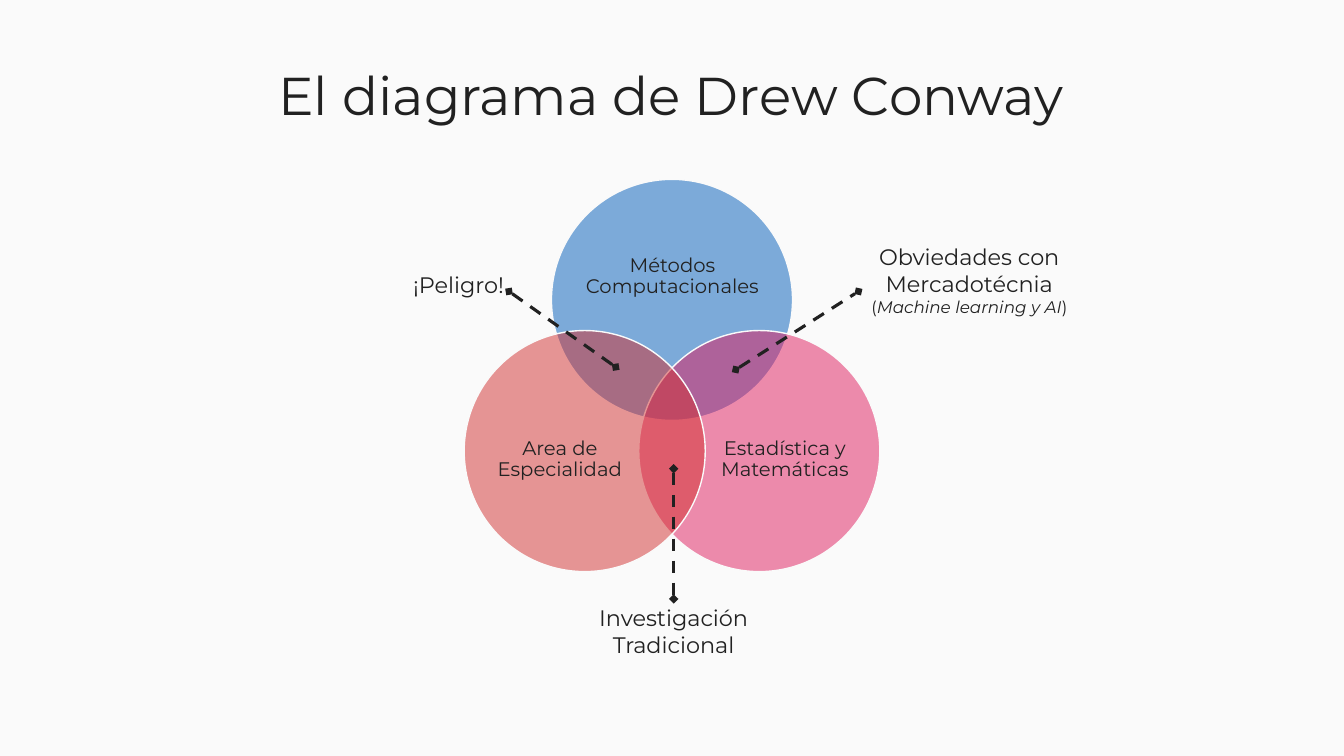
from math import cos, radians, sin

from lxml.etree import SubElement
from pptx import Presentation
from pptx.dml.color import RGBColor
from pptx.enum.dml import MSO_LINE
from pptx.enum.shapes import MSO_CONNECTOR, MSO_SHAPE
from pptx.enum.text import MSO_ANCHOR, MSO_AUTO_SIZE, PP_ALIGN
from pptx.oxml.ns import qn
from pptx.util import Inches, Pt

PAPER = RGBColor(0xFA, 0xFA, 0xFA)
INK = RGBColor(0x21, 0x21, 0x21)
BLUE = RGBColor(0x00, 0x5C, 0xB9)
PINK = RGBColor(0xE0, 0x1B, 0x5D)
RED = RGBColor(0xD2, 0x30, 0x2F)

COLUMNS, ROWS = 16, 9
VENN_X, VENN_Y = 8, 4.77
VENN_RADIUS, DIAMETER = 1.2, 2.87


class Deck:
    """Places elements on the current slide in columns and rows."""
    font = "Montserrat"

    def __init__(self):
        self.prs = Presentation()
        self.prs.slide_width, self.prs.slide_height = Inches(13.33), Inches(7.5)

    def add_slide(self):
        self.s = self.prs.slides.add_slide(self.prs.slide_layouts[6])
        fill = self.s.background.fill
        fill.solid()
        fill.fore_color.rgb = PAPER

    def grid(self, *values):
        """Turn alternating columns and rows into slide lengths."""
        units = (self.prs.slide_width / COLUMNS, self.prs.slide_height / ROWS)
        return [round(v * units[i % 2]) for i, v in enumerate(values)]

    def text(self, box, lines, size, align=PP_ALIGN.CENTER, spacing=None,
             anchor=MSO_ANCHOR.TOP, wrap=True, grow=False, inset=True):
        sp = self.s.shapes.add_textbox(*self.grid(*box))
        tf = sp.text_frame
        tf.word_wrap, tf.vertical_anchor = wrap, anchor
        if grow:
            tf.auto_size = MSO_AUTO_SIZE.SHAPE_TO_FIT_TEXT
        if not inset:
            tf.margin_left = tf.margin_right = tf.margin_top = tf.margin_bottom = 0
        for i, line in enumerate(lines):
            p = tf.paragraphs[0] if i == 0 else tf.add_paragraph()
            p.text = line
            p.alignment, p.line_spacing = align, spacing
            self.style(p, size)
        return sp

    def style(self, p, size):
        p.font.name, p.font.size = self.font, Pt(size)
        p.font.color.rgb = INK

    def aside(self, sp, phrase, size):
        """Add a line with an italic phrase in brackets."""
        p = sp.text_frame.add_paragraph()
        p.alignment = PP_ALIGN.CENTER
        for part in ("(", phrase, ")"):
            r = p.add_run()
            r.text = part
            r.font.italic = part == phrase
        self.style(p, size)

    def circle(self, x, y, color):
        """Draw a half-transparent circle around the given centre."""
        box = self.grid(x - DIAMETER / 2, y - DIAMETER / 2, DIAMETER, DIAMETER)
        sp = self.s.shapes.add_shape(MSO_SHAPE.OVAL, *box)
        sp.shadow.inherit = False
        sp.fill.solid()
        sp.fill.fore_color.rgb = color
        srgb = sp.fill._xPr.find(".//" + qn("a:srgbClr"))
        SubElement(srgb, qn("a:alpha")).set("val", "50000")
        sp.line.color.rgb, sp.line.width = PAPER, Pt(1)

    def pointer(self, *ends):
        """Draw a dashed line with a diamond at both ends."""
        c = self.s.shapes.add_connector(MSO_CONNECTOR.STRAIGHT, *self.grid(*ends))
        c.line.color.rgb, c.line.width = INK, Pt(2.25)
        c.line.dash_style = MSO_LINE.DASH
        sp_pr = c._element.spPr
        for tag in ("a:headEnd", "a:tailEnd"):
            SubElement(sp_pr.find(qn("a:ln")), qn(tag)).set("type", "diamond")
        SubElement(sp_pr, qn("a:effectLst"))
        return c


def main():
    deck = Deck()
    deck.add_slide()
    deck.text((0.9, 0.68, 14.18, 0.97), ["El diagrama de Drew Conway"], 38,
              spacing=0.9, anchor=MSO_ANCHOR.MIDDLE)

    fields = [
        (-90, BLUE, "Métodos Computacionales", (6.95, 2.64, 2.11, 1.3)),
        (30, PINK, "Estadística y Matemáticas", (8.48, 4.68, 1.73, 1.58)),
        (150, RED, "Area de Especialidad", (5.8, 4.68, 1.73, 1.58)),
    ]
    for angle, color, name, box in fields:
        deck.circle(VENN_X + VENN_RADIUS * cos(radians(angle)),
                    VENN_Y + VENN_RADIUS * sin(radians(angle)), color)
        deck.text(box, [name], 14, spacing=0.9, anchor=MSO_ANCHOR.MIDDLE, inset=False)

    deck.text((4.8, 3.17, 1.34, 0.44), ["¡Peligro!"], 16, align=PP_ALIGN.LEFT,
              wrap=False, grow=True)
    deck.pointer(6.06, 3.47, 7.33, 4.37)

    obvious = deck.text((10.25, 2.84, 2.58, 1.01), ["Obviedades con Mercadotécnia"],
                        16, grow=True)
    deck.aside(obvious, "Machine learning y AI", 12)
    deck.pointer(8.76, 4.4, 10.22, 3.47)

    research = deck.text((6.86, 7.13, 2.32, 0.77), ["Investigación Tradicional"],
                         16, grow=True)
    deck.pointer(8.02, 5.58, 8.02, 7.13).end_connect(research, 0)

    deck.prs.save("out.pptx")


if __name__ == "__main__":
    main()
